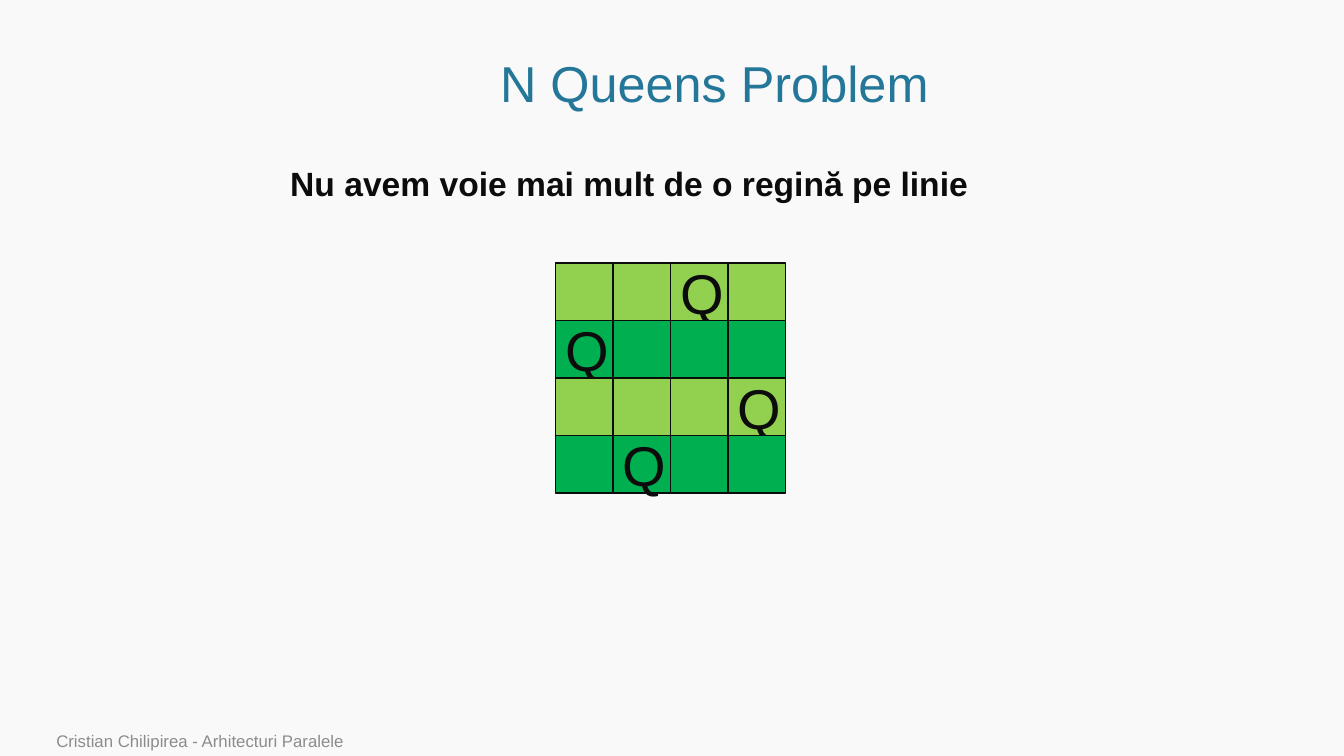
from dataclasses import dataclass

import pptx
import pptx.dml.color
import pptx.enum.shapes
import pptx.enum.text
import pptx.util

Inches = pptx.util.Inches
ALIGN = pptx.enum.text.PP_ALIGN
ANCHOR = pptx.enum.text.MSO_ANCHOR

FONT = "Arial"
INK = "0C0C0C"
ROW_FILLS = ("92D050", "00B050")
BOARD_LEFT, BOARD_TOP, CELL = 5.51, 2.61, 0.57
QUEEN_COLUMNS = (2, 0, 3, 1)  # queen's column in each row


@dataclass
class Label:
    text: str
    left: float
    top: float
    width: float
    height: float
    size: int
    color: str
    anchor: ANCHOR = ANCHOR.TOP
    align: ALIGN = ALIGN.LEFT
    bold: bool = False
    wrap: bool = True
    line_spacing: float = 1.0


LABELS = [
    Label("N Queens Problem", 1.14, 0.51, 11.89, 0.69, 36, "247798",
          ANCHOR.MIDDLE, ALIGN.CENTER, line_spacing=0.9),
    Label("Nu avem voie mai mult de o regină pe linie", 2.78, 1.57, 6.98, 0.5,
          24, INK, bold=True, wrap=False),
    Label("Cristian Chilipirea - Arhitecturi Paralele", 0.46, 7.22, 9.82, 0.28,
          12, "8C8C8C", ANCHOR.BOTTOM),
]


def rgb(value: str) -> pptx.dml.color.RGBColor:
    return pptx.dml.color.RGBColor.from_string(value)


def write(sp, text: str, size: int, color: str, anchor: ANCHOR, align: ALIGN,
          bold: bool = False):
    """Fill a shape with one formatted paragraph and return the paragraph."""
    tf = sp.text_frame
    tf.text = text
    tf.vertical_anchor = anchor
    p = tf.paragraphs[0]
    p.alignment = align
    r = p.runs[0]
    r.font.name = FONT
    r.font.size = pptx.util.Pt(size)
    r.font.bold = bold
    r.font.color.rgb = rgb(color)
    return p


def add_label(s, label: Label) -> None:
    sp = s.shapes.add_textbox(Inches(label.left), Inches(label.top),
                              Inches(label.width), Inches(label.height))
    sp.text_frame.word_wrap = label.wrap
    p = write(sp, label.text, label.size, label.color, label.anchor,
              label.align, label.bold)
    p.line_spacing = label.line_spacing


def add_cell(s, row: int, col: int, has_queen: bool) -> None:
    sp = s.shapes.add_shape(pptx.enum.shapes.MSO_SHAPE.RECTANGLE,
                            Inches(BOARD_LEFT + col * CELL),
                            Inches(BOARD_TOP + row * CELL),
                            Inches(CELL), Inches(CELL))
    sp.shadow.inherit = False
    sp.fill.solid()
    sp.fill.fore_color.rgb = rgb(ROW_FILLS[row % 2])
    sp.line.color.rgb = rgb(INK)
    sp.line.width = pptx.util.Pt(1)
    if has_queen:
        write(sp, "Q", 40, INK, ANCHOR.MIDDLE, ALIGN.CENTER)


def main() -> None:
    prs = pptx.Presentation()
    prs.slide_width, prs.slide_height = Inches(13.33), Inches(7.5)
    s = prs.slides.add_slide(prs.slide_layouts[6])
    s.background.fill.solid()
    s.background.fill.fore_color.rgb = rgb("F9F9F9")

    # Chessboard
    for row, queen_col in enumerate(QUEEN_COLUMNS):
        for col in range(len(QUEEN_COLUMNS)):
            add_cell(s, row, col, col == queen_col)

    # Title, rule and footer
    for label in LABELS:
        add_label(s, label)

    prs.save("out.pptx")


if __name__ == "__main__":
    main()
